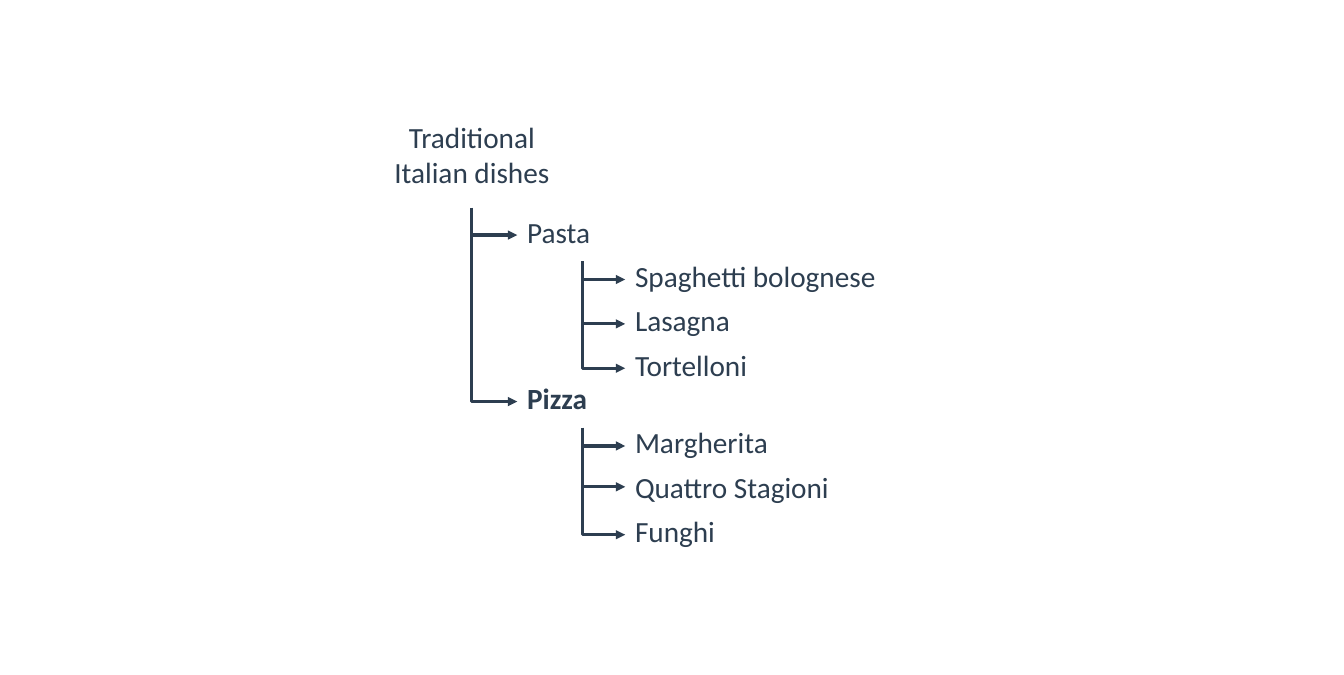
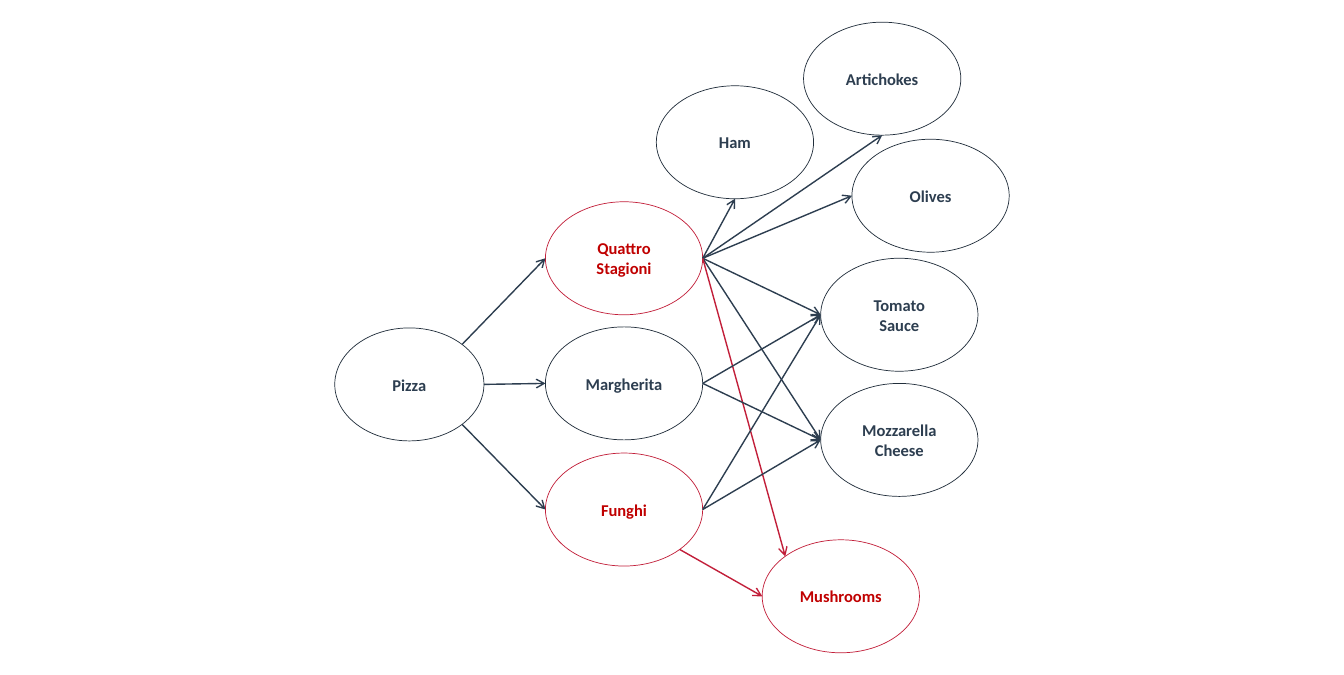
import math
from dataclasses import dataclass

import pptx
import pptx.util
import pptx.dml.color
import pptx.enum.shapes
import pptx.enum.text
import pptx.oxml.ns
from lxml import etree

qn = pptx.oxml.ns.qn
SHAPE = pptx.enum.shapes.MSO_SHAPE
CONNECTOR = pptx.enum.shapes.MSO_CONNECTOR
ALIGN = pptx.enum.text.PP_ALIGN
PX_PER_INCH = 100


@dataclass(frozen=True)
class Theme:
    """Colours, font, type sizes and line widths of the deck."""
    font: str = "Calibri"
    ink: str = "2D3E50"
    outline: str = "212E3B"
    accent_text: str = "C00000"
    accent_line: str = "C21F3A"
    tree_size: float = 20.9
    node_size: float = 11.8
    tree_line: float = 2.25
    link_line: float = 1
    node_line: float = 0.5


THEME = Theme()

DISHES = (
    ("Pasta", False, (("Spaghetti bolognese", 355, 52),
                      ("Lasagna", 180, 52),
                      ("Tortelloni", 180, 52))),
    ("Pizza", True, (("Margherita", 355, 52),
                     ("Quattro Stagioni", 280, 45),
                     ("Funghi", 180, 52))),
)

NODES = {
    "Pizza": (0, 303, 148, False),
    "Quattro Stagioni": (209, 178, 156, True),
    "Margherita": (209, 302, 156, False),
    "Funghi": (209, 427, 156, True),
    "Ham": (319, 63, 156, False),
    "Artichokes": (465, 0, 156, False),
    "Olives": (513, 116, 156, False),
    "Tomato Sauce": (482, 234, 156, False),
    "Mozzarella Cheese": (482, 358, 156, False),
    "Mushrooms": (424, 513, 156, True),
}
NODE_HEIGHT = 112

RIGHT, LOWER_RIGHT, BOTTOM, LEFT, UPPER_LEFT, UPPER_RIGHT = 0, 45, 90, 180, 225, 315

LINKS = (
    ("Pizza", UPPER_RIGHT, "Quattro Stagioni", LEFT),
    ("Pizza", RIGHT, "Margherita", LEFT),
    ("Pizza", LOWER_RIGHT, "Funghi", LEFT),
    ("Quattro Stagioni", RIGHT, "Ham", BOTTOM),
    ("Quattro Stagioni", RIGHT, "Artichokes", BOTTOM),
    ("Quattro Stagioni", RIGHT, "Olives", LEFT),
    ("Quattro Stagioni", RIGHT, "Tomato Sauce", LEFT),
    ("Quattro Stagioni", RIGHT, "Mozzarella Cheese", LEFT),
    ("Quattro Stagioni", RIGHT, "Mushrooms", UPPER_LEFT),
    ("Margherita", RIGHT, "Tomato Sauce", LEFT),
    ("Margherita", RIGHT, "Mozzarella Cheese", LEFT),
    ("Funghi", RIGHT, "Tomato Sauce", LEFT),
    ("Funghi", RIGHT, "Mozzarella Cheese", LEFT),
    ("Funghi", LOWER_RIGHT, "Mushrooms", LEFT),
)


def px(n):
    """Turn a length in px into EMU."""
    return pptx.util.Emu(round(n * 914400 / PX_PER_INCH))


def rgb(value):
    """Turn a hex string into a colour."""
    return pptx.dml.color.RGBColor.from_string(value)


def add_text(tf, text, size, color, bold, align):
    """Write one wrapped paragraph into a text frame."""
    tf.word_wrap = True
    p = tf.paragraphs[0]
    p.alignment = align
    r = p.add_run()
    r.text = text
    r.font.name = THEME.font
    r.font.size = pptx.util.Pt(size)
    r.font.bold = bold
    r.font.color.rgb = rgb(color)


def add_arrow(shapes, kind, start, end, color, width, head):
    """Draw a connector with an arrowhead at its end."""
    c = shapes.add_connector(kind, *(px(n) for n in (*start, *end)))
    c.line.color.rgb = rgb(color)
    c.line.width = pptx.util.Pt(width)
    sp_pr = c.element.spPr
    etree.SubElement(sp_pr.find(qn("a:ln")), qn("a:tailEnd")).set("type", head)
    etree.SubElement(sp_pr, qn("a:effectLst"))
    return c


def add_branch(shapes, parent, child):
    """Lead an arrow down from under a parent box and right to a child box."""
    x, y, w, h = parent
    x0, y0 = x + w / 2, y + h
    x1, y1 = child[0], child[1] + child[3] / 2
    cx, cy = (x0 + x1) / 2, (y0 + y1) / 2
    half_w, half_h = (y1 - y0) / 2, (x1 - x0) / 2
    c = add_arrow(shapes, CONNECTOR.ELBOW, (cx + half_w, cy - half_h),
                  (cx - half_w, cy + half_h), THEME.ink, THEME.tree_line, "triangle")
    c.element.spPr.find(qn("a:xfrm")).set("rot", str(270 * 60000))
    c.element.spPr.find(qn("a:prstGeom")).set("prst", "bentConnector2")


def add_label(shapes, box, text, bold=False, align=ALIGN.LEFT):
    """Place one label of the tree."""
    tf = shapes.add_textbox(*map(px, box)).text_frame
    tf.auto_size = pptx.enum.text.MSO_AUTO_SIZE.SHAPE_TO_FIT_TEXT
    add_text(tf, text, THEME.tree_size, THEME.ink, bold, align)


def add_tree(s, x, y):
    """Draw the tree of dishes from its top left corner."""
    shapes = s.shapes.add_group_shape().shapes
    root = (x, y, 220, 93)
    add_label(shapes, root, "Traditional Italian dishes", align=ALIGN.CENTER)
    for i, (kind, bold, dishes) in enumerate(DISHES):
        branch = (x + 155, y + 94 + 165 * i, 130, 52)
        add_label(shapes, branch, kind, bold)
        add_branch(shapes, root, branch)
        for j, (dish, w, h) in enumerate(dishes):
            leaf = (x + 262, branch[1] + 44 * (j + 1), w, h)
            add_label(shapes, leaf, dish)
            add_branch(shapes, branch, leaf)


def add_node(s, box, text, accent):
    """Draw one outlined ellipse with its name."""
    sp = s.shapes.add_shape(SHAPE.OVAL, *map(px, box))
    sp.shadow.inherit = False
    sp.fill.background()
    sp.line.color.rgb = rgb(THEME.accent_line if accent else THEME.outline)
    sp.line.width = pptx.util.Pt(THEME.node_line)
    sp.text_frame.vertical_anchor = pptx.enum.text.MSO_ANCHOR.MIDDLE
    add_text(sp.text_frame, text, THEME.node_size,
             THEME.accent_text if accent else THEME.ink, True, ALIGN.CENTER)


def rim_point(box, degrees):
    """Find the point on an ellipse at a clockwise angle from its right."""
    x, y, w, h = box
    a = math.radians(degrees)
    return x + w / 2 * (1 + math.cos(a)), y + h / 2 * (1 + math.sin(a))


def add_network(s, x, y):
    """Draw the network of pizzas and toppings from its top left corner."""
    boxes = {}
    for name, (dx, dy, w, accent) in NODES.items():
        boxes[name] = (x + dx, y + dy, w, NODE_HEIGHT)
        add_node(s, boxes[name], name, accent)
    for source, leave, target, arrive in LINKS:
        accent = NODES[source][3] and NODES[target][3]
        add_arrow(s.shapes, CONNECTOR.STRAIGHT, rim_point(boxes[source], leave),
                  rim_point(boxes[target], arrive),
                  THEME.accent_line if accent else THEME.ink, THEME.link_line, "arrow")


def main():
    """Build and save the deck."""
    prs = pptx.Presentation()
    prs.slide_width, prs.slide_height = px(1333), px(669)
    blank = prs.slide_layouts[6]
    add_tree(prs.slides.add_slide(blank), 358, 113)
    add_network(prs.slides.add_slide(blank), 332, 22)
    prs.save("out.pptx")


if __name__ == "__main__":
    main()
